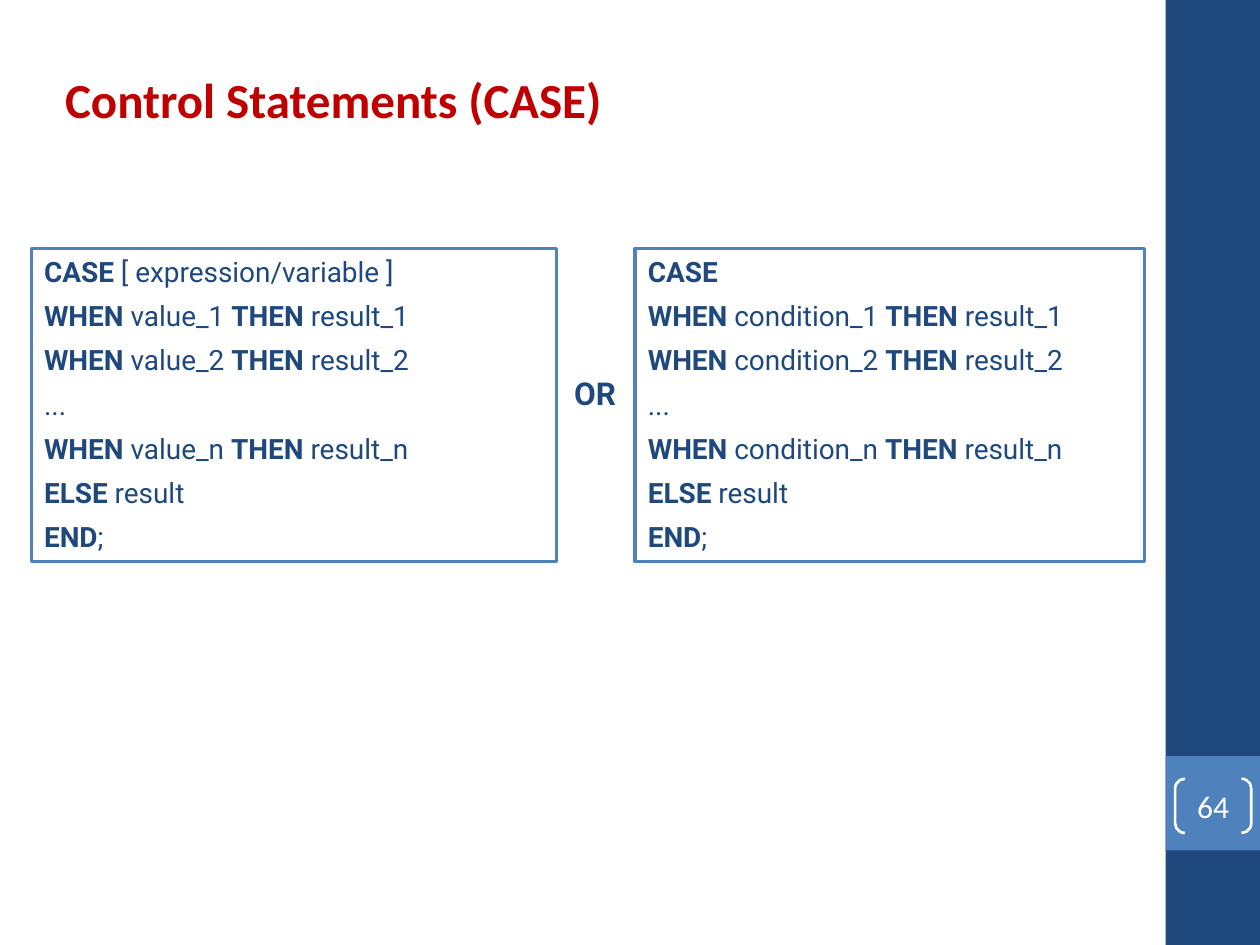
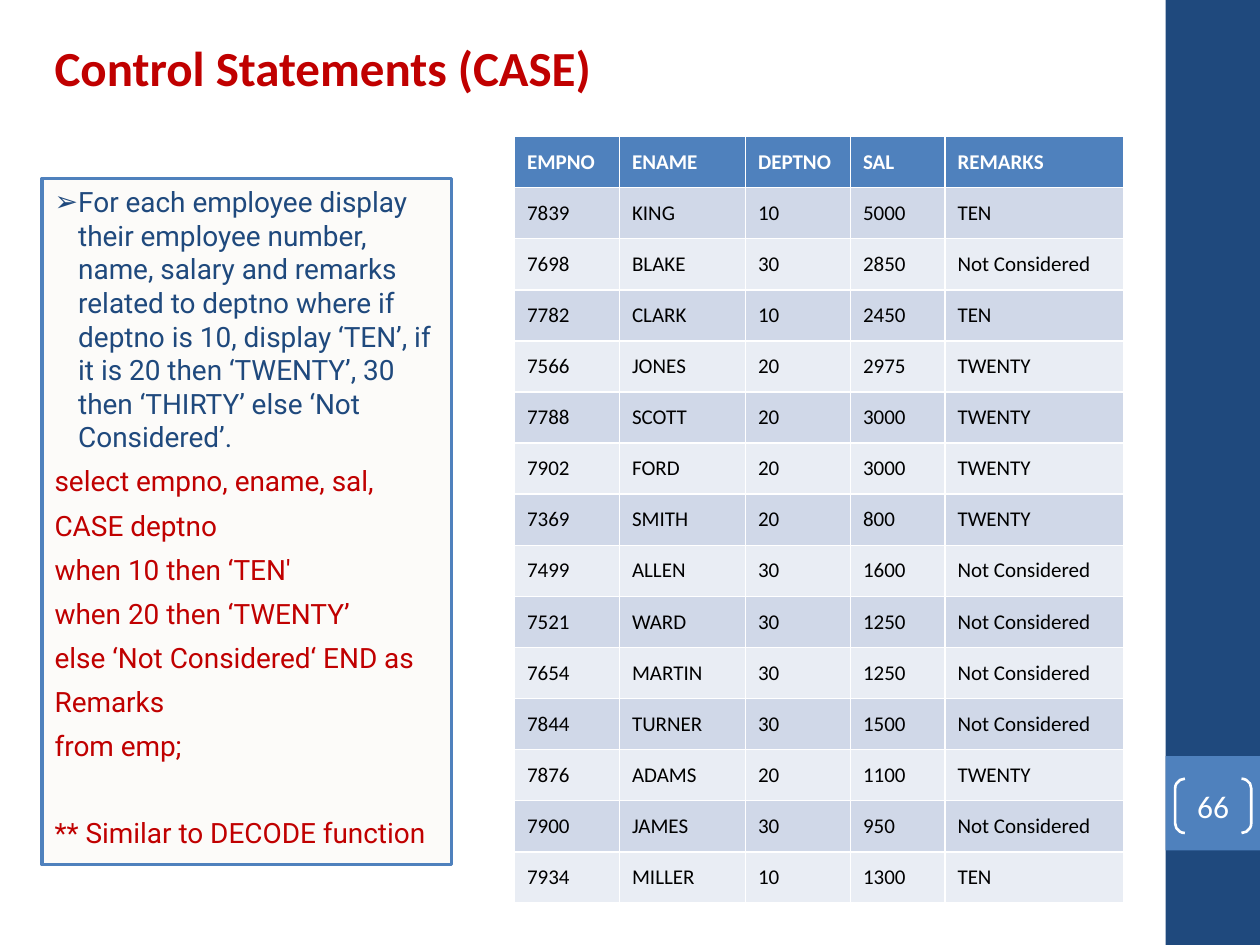
from dataclasses import dataclass
from typing import NamedTuple

import pptx
import pptx.dml.color
import pptx.enum.shapes
import pptx.enum.text
import pptx.oxml.ns
import pptx.util
from lxml import etree

Pt = pptx.util.Pt
RGB = pptx.dml.color.RGBColor.from_string
Preset = pptx.enum.shapes.MSO_SHAPE
Align = pptx.enum.text.PP_ALIGN
Anchor = pptx.enum.text.MSO_ANCHOR
AutoSize = pptx.enum.text.MSO_AUTO_SIZE


@dataclass(frozen=True)
class Theme:
    navy: str = "1F497D"
    blue: str = "4F81BD"
    red: str = "C00000"
    white: str = "FFFFFF"
    black: str = "000000"
    cream: str = "FCFBF9"
    row_bands: tuple[str, str] = ("D0D8E8", "E9EDF4")
    heading_font: str = "Calibri"
    text_font: str = "Roboto"
    title_size: float = 28
    label_size: float = 18
    code_size: float = 16
    table_size: float = 12


THEME = Theme()


class Box(NamedTuple):
    left: float
    top: float
    width: float
    height: float


class Style(NamedTuple):
    font: str
    size: float
    color: str
    bold: bool = False


class Line(NamedTuple):
    runs: tuple[tuple[str, Style], ...]
    bullet: str | None = None
    space_before: float = 6


class Panel(NamedTuple):
    box: Box
    lines: list[Line]
    fill: str | None = None


class Employee(NamedTuple):
    empno: int
    ename: str
    deptno: int
    sal: int


TITLE = Style(THEME.heading_font, THEME.title_size, THEME.red, True)
PAGE_NUMBER = Style(THEME.heading_font, THEME.label_size, THEME.white)
CONNECTIVE = Style(THEME.text_font, THEME.label_size, THEME.navy, True)
PLAIN = Style(THEME.text_font, THEME.code_size, THEME.navy)
KEYWORD = PLAIN._replace(bold=True)
QUERY = PLAIN._replace(color=THEME.red)
TABLE_HEAD = Style(THEME.heading_font, THEME.table_size, THEME.white, True)
TABLE_BODY = TABLE_HEAD._replace(color=THEME.black, bold=False)

BULLET_INDENT = 13.5
SKIPPED_LINE = 30.75

TASK = (
    "For each employee display their employee number, name, salary and remarks "
    "related to deptno where if deptno is 10, display ‘TEN’, if it is 20 then "
    "‘TWENTY’, 30 then ‘THIRTY’ else ‘Not Considered’."
)
QUERY_LINES = [
    "select empno, ename, sal,",
    "CASE deptno",
    "when 10 then ‘TEN'",
    "when 20 then ‘TWENTY’",
    "else ‘Not Considered‘ END as",
    "Remarks",
    "from emp;",
]
EMPLOYEES = [
    Employee(7839, "KING", 10, 5000),
    Employee(7698, "BLAKE", 30, 2850),
    Employee(7782, "CLARK", 10, 2450),
    Employee(7566, "JONES", 20, 2975),
    Employee(7788, "SCOTT", 20, 3000),
    Employee(7902, "FORD", 20, 3000),
    Employee(7369, "SMITH", 20, 800),
    Employee(7499, "ALLEN", 30, 1600),
    Employee(7521, "WARD", 30, 1250),
    Employee(7654, "MARTIN", 30, 1250),
    Employee(7844, "TURNER", 30, 1500),
    Employee(7876, "ADAMS", 20, 1100),
    Employee(7900, "JAMES", 30, 950),
    Employee(7934, "MILLER", 10, 1300),
]
REMARKS = {10: "TEN", 20: "TWENTY"}
COLUMN_WIDTHS = {"EMPNO": 60, "ENAME": 72, "DEPTNO": 60, "SAL": 54, "REMARKS": 102}
ROW_HEIGHT = 29.2


def place(shape, box: Box) -> None:
    shape.left, shape.top, shape.width, shape.height = map(Pt, box)


def add_run(paragraph, text: str, style: Style) -> None:
    run = paragraph.add_run()
    run.text = text
    run.font.name = style.font
    run.font.size = Pt(style.size)
    run.font.bold = style.bold
    run.font.color.rgb = RGB(style.color)


def set_bullet(paragraph, bullet: str | None) -> None:
    properties = paragraph._p.get_or_add_pPr()
    indent = Pt(BULLET_INDENT) if bullet else 0
    properties.set("marL", str(indent))
    properties.set("indent", str(-indent))
    kind = "a:buChar" if bullet else "a:buNone"
    mark = etree.SubElement(properties, pptx.oxml.ns.qn(kind))
    if bullet:
        mark.set("char", bullet)


def add_preset(slide, preset, box: Box, fill: str | None):
    shape = slide.shapes.add_shape(preset, *map(Pt, box))
    shape.shadow.inherit = False
    shape.line.fill.background()
    if fill:
        shape.fill.solid()
        shape.fill.fore_color.rgb = RGB(fill)
    else:
        shape.fill.background()
    return shape


def add_side_band(slide, page: int) -> None:
    add_preset(slide, Preset.RECTANGLE, Box(666, 0, 54, 540), THEME.navy)
    add_preset(slide, Preset.RECTANGLE, Box(666, 432, 54, 54), THEME.blue)
    bracket = add_preset(slide, Preset.DOUBLE_BRACKET, Box(671.5, 445, 43.5, 31), None)
    bracket.adjustments[0] = 0.18
    bracket.line.color.rgb = RGB(THEME.white)
    bracket.line.width = Pt(1.5)
    frame = bracket.text_frame
    frame.margin_left = frame.margin_right = frame.margin_top = frame.margin_bottom = 0
    frame.vertical_anchor = Anchor.MIDDLE
    frame.paragraphs[0].alignment = Align.CENTER
    add_run(frame.paragraphs[0], str(page), PAGE_NUMBER)


def fill_title(slide, text: str, left: float, top: float) -> None:
    title = slide.shapes.title
    place(title, Box(left, top, 666, 48))
    title.text_frame.vertical_anchor = Anchor.TOP
    title.text_frame.auto_size = AutoSize.NONE
    heading = title.text_frame.paragraphs[0]
    heading.alignment = Align.LEFT
    add_run(heading, text, TITLE)


def fill_panel(body, panel: Panel) -> None:
    place(body, panel.box)
    body.line.color.rgb = RGB(THEME.blue)
    body.line.width = Pt(2)
    if panel.fill:
        body.fill.solid()
        body.fill.fore_color.rgb = RGB(panel.fill)
    frame = body.text_frame
    frame.word_wrap = True
    frame.auto_size = AutoSize.NONE
    frame.vertical_anchor = Anchor.TOP
    for index, line in enumerate(panel.lines):
        paragraph = frame.add_paragraph() if index else frame.paragraphs[0]
        set_bullet(paragraph, line.bullet)
        paragraph.space_before = Pt(line.space_before if index else 0)
        for text, style in line.runs:
            add_run(paragraph, text, style)


def start_slide(deck, layout: int, page: int, title_left: float, title_top: float,
                panels: list[Panel]):
    slide = deck.slides.add_slide(deck.slide_layouts[layout])
    add_side_band(slide, page)
    fill_title(slide, "Control Statements (CASE)", title_left, title_top)
    for index, panel in enumerate(panels, start=1):
        fill_panel(slide.placeholders[index], panel)
    return slide


def case_syntax(selector: str, operand: str) -> list[Line]:
    def branch(suffix: str) -> Line:
        return Line((
            ("WHEN ", KEYWORD), (f"{operand}_{suffix} ", PLAIN),
            ("THEN ", KEYWORD), (f"result_{suffix}", PLAIN),
        ))

    opening = (("CASE", KEYWORD),)
    if selector:
        opening += ((f" {selector}", PLAIN),)
    return [
        Line(opening),
        branch("1"),
        branch("2"),
        Line((("...", PLAIN),)),
        branch("n"),
        Line((("ELSE", KEYWORD), (" result", PLAIN))),
        Line((("END", KEYWORD), (";", PLAIN))),
    ]


def add_syntax_slide(deck) -> None:
    simple = Panel(Box(18, 142, 300, 179), case_syntax("[ expression/variable ]", "value"))
    searched = Panel(Box(363, 142, 291, 179), case_syntax("", "condition"))
    slide = start_slide(deck, 3, 64, 30, 36, [simple, searched])
    connective = slide.shapes.add_textbox(*map(Pt, Box(321, 210, 42, 29)))
    connective.text_frame.word_wrap = False
    add_run(connective.text_frame.paragraphs[0], "OR", CONNECTIVE)


def add_employee_table(slide) -> None:
    rows = [tuple(COLUMN_WIDTHS)]
    rows += [(*person, REMARKS.get(person.deptno, "Not Considered")) for person in EMPLOYEES]
    box = Box(294, 78, sum(COLUMN_WIDTHS.values()), ROW_HEIGHT * len(rows))
    table = slide.shapes.add_table(len(rows), len(COLUMN_WIDTHS), *map(Pt, box)).table
    for column, width in zip(table.columns, COLUMN_WIDTHS.values()):
        column.width = Pt(width)
    for row_index, values in enumerate(rows):
        table.rows[row_index].height = Pt(ROW_HEIGHT)
        style = TABLE_BODY if row_index else TABLE_HEAD
        fill = THEME.row_bands[(row_index - 1) % 2] if row_index else THEME.blue
        for column_index, value in enumerate(values):
            cell = table.cell(row_index, column_index)
            cell.fill.solid()
            cell.fill.fore_color.rgb = RGB(fill)
            cell.vertical_anchor = Anchor.MIDDLE
            add_run(cell.text_frame.paragraphs[0], str(value), style)


def add_example_slide(deck) -> None:
    lines = [Line(((TASK, PLAIN),), bullet="➢")]
    lines += [Line(((text, QUERY),)) for text in QUERY_LINES]
    lines.append(Line((("** Similar to DECODE function", QUERY),), space_before=SKIPPED_LINE))
    example = Panel(Box(24, 102, 234, 392), lines, THEME.cream)
    slide = start_slide(deck, 1, 66, 24, 18, [example])
    add_employee_table(slide)


def main() -> None:
    deck = pptx.Presentation()
    deck.slide_width, deck.slide_height = Pt(720), Pt(540)
    add_syntax_slide(deck)
    add_example_slide(deck)
    deck.save("out.pptx")


if __name__ == "__main__":
    main()
